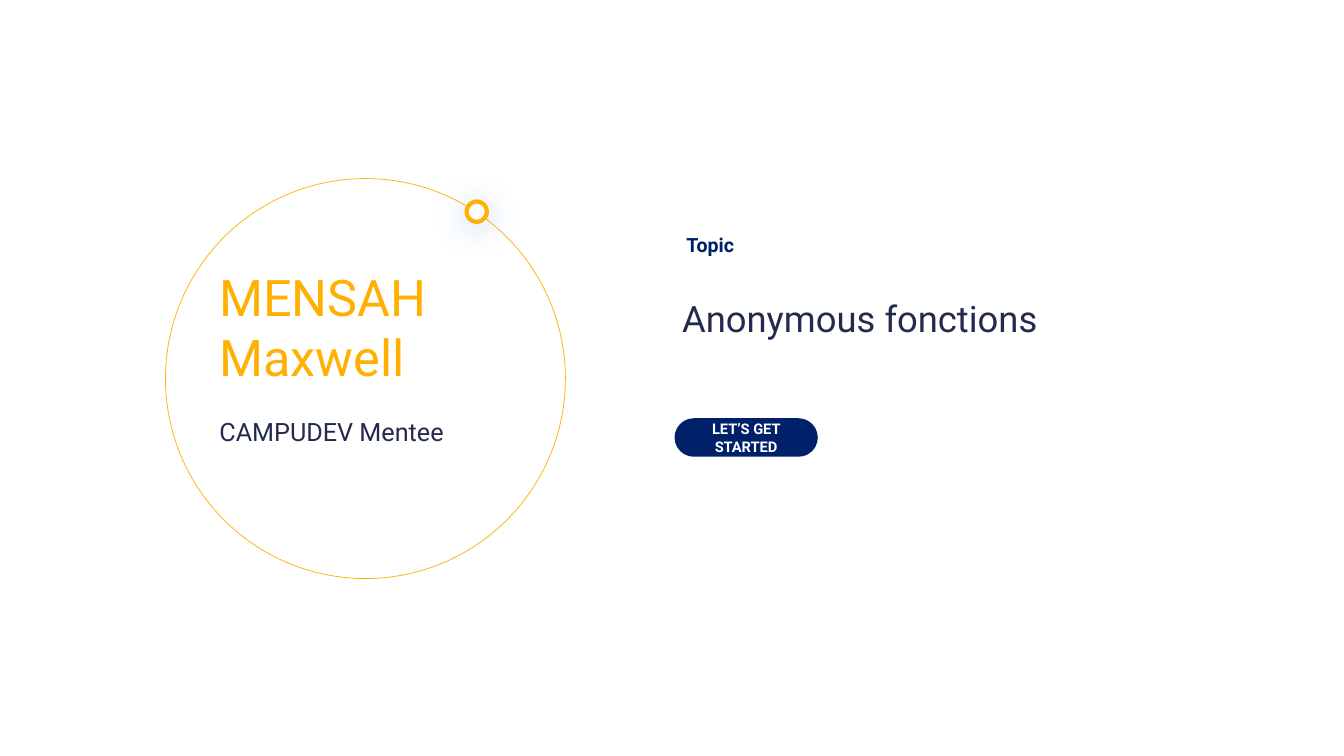
from lxml.etree import SubElement
from pptx import Presentation
from pptx.dml.color import RGBColor
from pptx.enum.shapes import MSO_SHAPE as Shape
from pptx.enum.text import MSO_ANCHOR as Anchor, PP_ALIGN as Align
from pptx.oxml.ns import qn
from pptx.util import Cm, Pt

COLORS = {
    "amber": "FFB000",
    "navy": "002069",
    "ink": "232A4E",
    "white": "FFFFFF",
    "glow": "5B9BD5",
}
FONT = "Roboto"
LEFT_COLUMN = 5.28
RIGHT_COLUMN = 16.94


def rgb(name):
    return RGBColor.from_string(COLORS[name])


def write(box, text, size, color, bold=False, spacing=None, align=None):
    box.text_frame.word_wrap = True
    para = box.text_frame.paragraphs[0]
    para.line_spacing = spacing
    para.alignment = align
    span = para.add_run()
    span.text = text
    span.font.name = FONT
    span.font.size = Pt(size)
    span.font.bold = bold
    span.font.color.rgb = rgb(color)


def add_label(page, left, top, width, height, text, size, color, **style):
    box = page.shapes.add_textbox(Cm(left), Cm(top), Cm(width), Cm(height))
    write(box, text, size, color, **style)


def add_ring(page, left, top, diameter, weight, fill=None):
    ring = page.shapes.add_shape(
        Shape.OVAL, Cm(left), Cm(top), Cm(diameter), Cm(diameter))
    ring.shadow.inherit = False
    if fill:
        ring.fill.solid()
        ring.fill.fore_color.rgb = rgb(fill)
    else:
        ring.fill.background()
    ring.line.color.rgb = rgb("amber")
    ring.line.width = Pt(weight)
    return ring


def add_glow(shape):
    """Put a soft, wide shadow just below the shape."""
    effects = shape.element.spPr.find(qn("a:effectLst"))
    shadow = SubElement(effects, qn("a:outerShdw"), blurRad=str(Pt(24)),
                        dist=str(Pt(3)), dir="5400000", algn="t",
                        rotWithShape="0")
    color = SubElement(shadow, qn("a:srgbClr"), val=COLORS["glow"])
    SubElement(color, qn("a:alpha"), val="40000")


def add_button(page, left, top, width, height, text):
    button = page.shapes.add_shape(
        Shape.ROUNDED_RECTANGLE, Cm(left), Cm(top), Cm(width), Cm(height))
    button.adjustments[0] = 0.5
    button.shadow.inherit = False
    button.fill.solid()
    button.fill.fore_color.rgb = rgb("navy")
    button.line.fill.background()
    button.text_frame.vertical_anchor = Anchor.MIDDLE
    write(button, text, 10.5, "white", bold=True, align=Align.CENTER)


def main():
    deck = Presentation()
    deck.slide_width, deck.slide_height = Cm(33.87), Cm(19.05)
    page = deck.slides.add_slide(deck.slide_layouts[6])

    add_ring(page, 4.17, 4.5, 10.08, 0.5)
    add_glow(add_ring(page, 11.76, 5.08, 0.51, 3, fill="white"))

    add_label(page, LEFT_COLUMN, 6.58, 8.99, 3.3,
              "MENSAH Maxwell", 36, "amber")
    add_button(page, 17, 10.54, 3.61, 0.97, "LET’S GET STARTED")
    add_label(page, RIGHT_COLUMN, 5.56, 6.02, 1.02,
              " Topic", 14, "navy", bold=True, spacing=1.3)
    add_label(page, RIGHT_COLUMN, 6.78, 12.7, 1.9,
              "Anonymous fonctions", 26, "ink", spacing=1.5)
    add_label(page, LEFT_COLUMN, 9.98, 8.23, 1.4,
              "CAMPUDEV Mentee", 18, "ink", spacing=1.5)

    deck.save("out.pptx")


if __name__ == "__main__":
    main()
